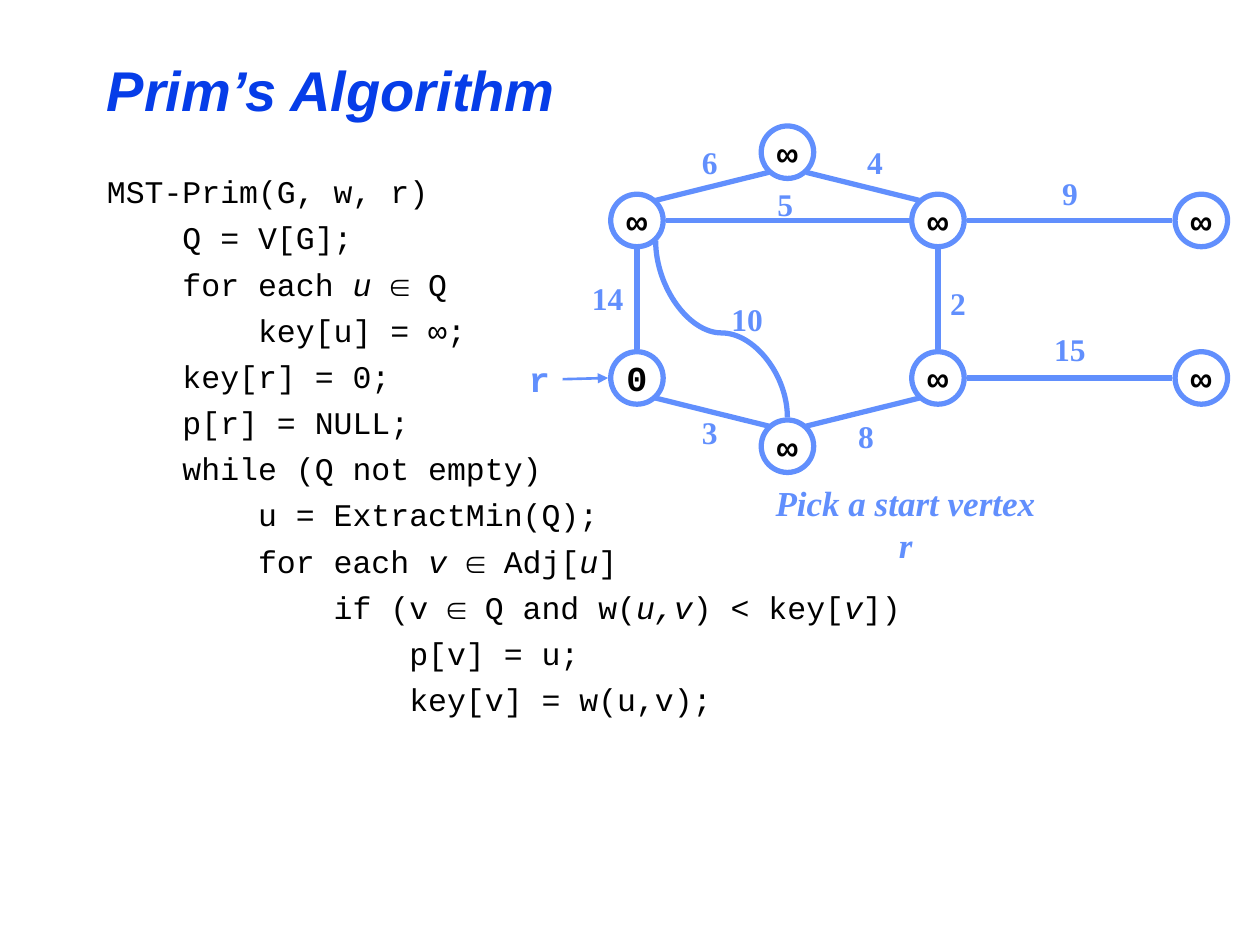
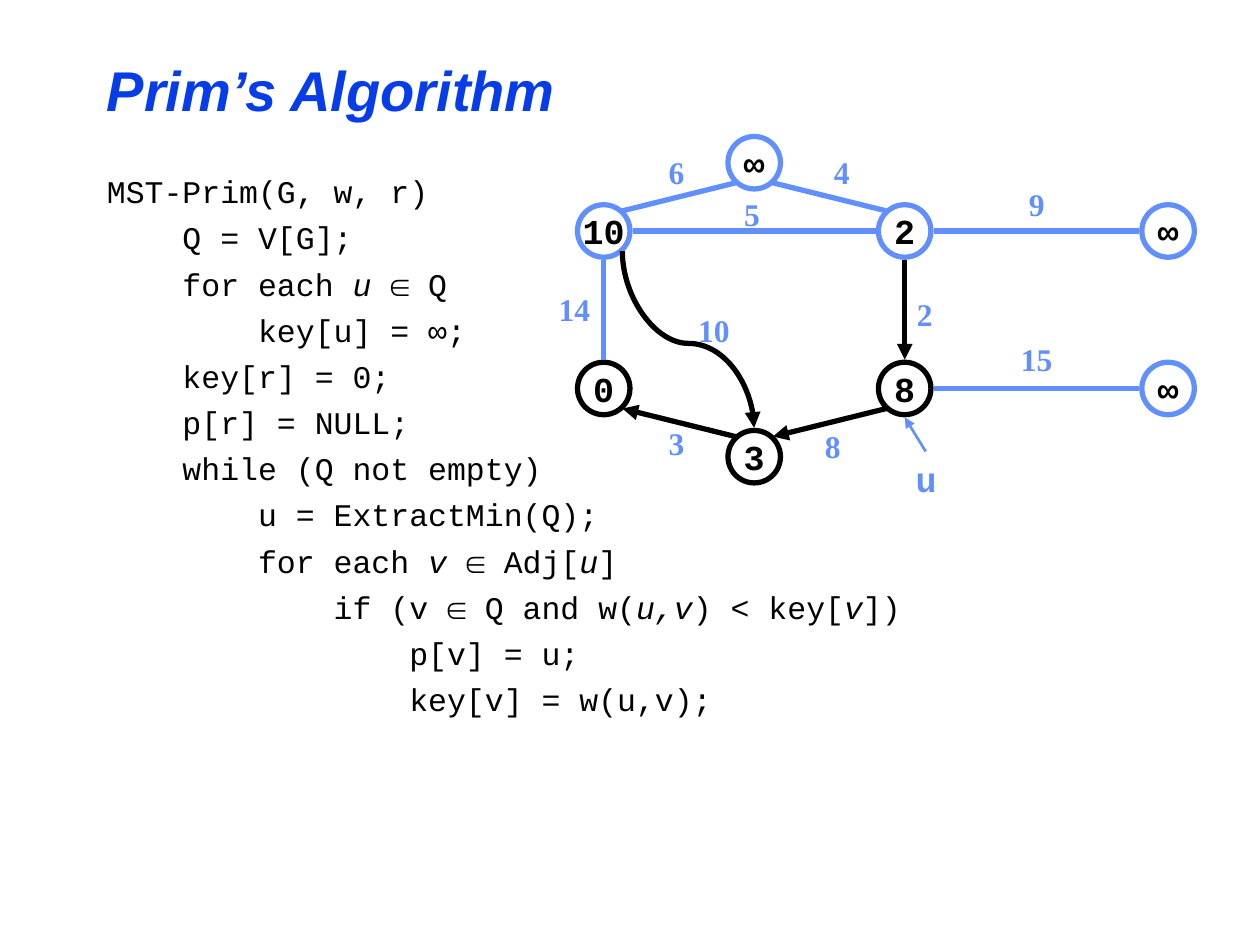
import lxml.etree
import pptx
import pptx.dml.color
import pptx.enum.shapes
import pptx.enum.text
import pptx.oxml.ns
import pptx.util

Pt = pptx.util.Pt
qn = pptx.oxml.ns.qn
KIND = pptx.enum.shapes.MSO_CONNECTOR
ALIGN = pptx.enum.text.PP_ALIGN
ANCHOR = pptx.enum.text.MSO_ANCHOR

COLORS = {"title": "063DE8", "edge": "618FFD", "ink": "000000"}
SANS, MONO, SERIF = "Arial", "Courier New", "Times New Roman"

CODE = [
    "MST-Prim(G, w, r)",
    "    Q = V[G];",
    "    for each *u *∈ Q",
    "        key[u] = ∞;",
    "    key[r] = 0;",
    "    p[r] = NULL;",
    "    while (Q not empty)",
    "        u = ExtractMin(Q);",
    "        for each *v *∈ Adj[*u*]",
    "            if (v ∈ Q and w(*u,v*) < key[*v*])",
    "                p[v] = u;",
    "                key[v] = w(u,v);",
]

SIZE = 30
COLS = [0, 86, 172, 322.5]
ROWS = [0, 39, 129, 168]
NODES = {
    "a": (0, 1), "b": (2, 1), "c": (3, 1),
    "d": (0, 2), "e": (2, 2), "f": (3, 2),
    "g": (1, 3), "t": (1, 0),
}
SIDES = {
    "N": (0, -16.5), "S": (0, 16.5), "W": (-16.5, 0), "E": (16.5, 0),
    "NE": (10.7, -11.5), "NW": (-10.7, -11.5),
    "SE": (10.7, 11.5), "SW": (-10.7, 11.5),
}
EDGES = [
    ("t", "SE", "b", "NW"), ("t", "SW", "a", "NE"),
    ("a", "E", "b", "W"), ("d", "N", "a", "S"),
    ("d", "SE", "g", "NW"), ("g", "NE", "e", "SW"),
    ("e", "N", "b", "S"), ("b", "E", "c", "W"),
    ("e", "E", "f", "W"), ("g", "N", "a", "SE"),
]
COSTS = [
    ("14", -1.8, 84), ("10", 78, 96), ("3", 56.5, 160.5), ("6", 56.5, 6),
    ("4", 151, 6), ("5", 99.7, 30), ("2", 198.4, 87), ("9", 262.4, 24),
    ("15", 262.4, 113), ("8", 145.8, 162.5),
]


def hue(name):
    """Return the named colour."""
    return pptx.dml.color.RGBColor.from_string(COLORS[name])


def write(para, text, font, size, color, bold=False, slant=False):
    """Add one styled run to a paragraph."""
    run = para.add_run()
    run.text = text
    style = run.font
    style.name, style.size = font, Pt(size)
    style.bold, style.italic = bold, slant
    style.color.rgb = hue(color)


def frame(slide, box, wrap=True):
    """Add a text box and return its text frame."""
    text = slide.shapes.add_textbox(*map(Pt, box)).text_frame
    text.word_wrap = wrap
    return text


def label(slide, box, text, font, size, wrap=False, slant=False):
    """Add a centred bold label in the edge colour."""
    para = frame(slide, box, wrap).paragraphs[0]
    para.alignment = ALIGN.CENTER
    write(para, text, font, size, "edge", True, slant)


def draw_title(slide, box):
    """Write the slide title."""
    text = frame(slide, box)
    text.vertical_anchor = ANCHOR.MIDDLE
    write(text.paragraphs[0], "Prim’s Algorithm", SANS, 32, "title", True, True)


def draw_code(slide, box):
    """List the code, with the parts between stars in italics."""
    gap = Pt(4.8)
    text = frame(slide, box)
    text.margin_top += gap
    for row, line in enumerate(CODE):
        para = text.add_paragraph() if row else text.paragraphs[0]
        if row:
            para.space_before = gap
        for turn, part in enumerate(line.split("*")):
            write(para, part, MONO, 18, "ink", slant=turn % 2 == 1)


def style_line(line, color, width, arrow):
    """Colour a connector, drop its shadow and put any arrow at its start."""
    line.line.color.rgb = hue(color)
    line.line.width = Pt(width)
    props = line._element.spPr
    if arrow:
        stroke = props.find(qn("a:ln"))
        lxml.etree.SubElement(stroke, qn("a:headEnd"), type="triangle")
    lxml.etree.SubElement(props, qn("a:effectLst"))


def straight(slide, start, end, color, width, arrow):
    """Draw a straight line between two points."""
    line = slide.shapes.add_connector(KIND.STRAIGHT, *map(Pt, start + end))
    style_line(line, color, width, arrow)


def curve(slide, start, end, color, width, arrow):
    """Draw an S curve that leaves its start point upward."""
    midx, midy = (start[0] + end[0]) / 2, (start[1] + end[1]) / 2
    halfx, halfy = (start[0] - end[0]) / 2, (start[1] - end[1]) / 2
    ends = midx + halfy, midy - halfx, midx - halfy, midy + halfx
    line = slide.shapes.add_connector(KIND.CURVE, *map(Pt, ends))
    props = line._element.spPr
    props.find(qn("a:xfrm")).set("rot", "5400000")
    guides = props.find(qn("a:prstGeom")).find(qn("a:avLst"))
    lxml.etree.SubElement(guides, qn("a:gd"), name="adj1", fmla="val 47800")
    style_line(line, color, width, arrow)


def port(left, top, node, side):
    """Return the point where an edge meets a side of a node."""
    col, row = NODES[node]
    dx, dy = SIDES[side]
    return left + COLS[col] + SIZE / 2 + dx, top + ROWS[row] + SIZE / 2 + dy


def draw_graph(slide, left, top, keys, done, tree):
    """Draw nodes with their keys, then edges and edge costs."""
    for node, (col, row) in NODES.items():
        place = left + COLS[col], top + ROWS[row], SIZE, SIZE
        ring = slide.shapes.add_shape(
            pptx.enum.shapes.MSO_SHAPE.OVAL, *map(Pt, place))
        ring.shadow.inherit = False
        ring.fill.background()
        ring.line.color.rgb = hue("ink" if node in done else "edge")
        ring.line.width = Pt(3)
        text = ring.text_frame
        text.word_wrap = False
        text.vertical_anchor = ANCHOR.MIDDLE
        para = text.paragraphs[0]
        para.alignment = ALIGN.CENTER
        write(para, keys.get(node, "∞"), MONO, 20, "ink", True)
    for head, exit, tail, entry in EDGES:
        draw = curve if head + tail == "ga" else straight
        used = head + tail in tree
        draw(slide, port(left, top, head, exit), port(left, top, tail, entry),
             "ink" if used else "edge", 3, used)
    for cost, mid, drop in COSTS:
        wide = 15 + 9 * len(cost)
        label(slide, (left + mid - wide / 2, top + drop, wide, 29),
              cost, SERIF, 18)


def draw_mark(slide, left, top, name, spot, start, tip):
    """Name a node and point at it with a thin arrow."""
    box = left + spot[0], top + spot[1], 26.5, 31
    label(slide, box, name, MONO, 20)
    straight(slide, port(left, top, *tip), (left + start[0], top + start[1]),
             "edge", 1.5, True)


def draw_note(slide, left, top):
    """Write the hint below the graph."""
    label(slide, (left + 81.5, top + 199.5, 174, 31),
          "Pick a start vertex r", SERIF, 20, True, True)


def add_slide(deck, left, top, keys, done, tree, mark):
    """Add one step of the algorithm."""
    slide = deck.slides.add_slide(deck.slide_layouts[6])
    draw_title(slide, (54, 24, 612, 54))
    draw_code(slide, (54, 90, 618, 432))
    draw_graph(slide, left, top, keys, done, tree)
    draw_mark(slide, left, top, *mark)
    return slide


def main():
    """Build and save the deck."""
    deck = pptx.Presentation()
    deck.slide_width, deck.slide_height = Pt(720), Pt(540)
    first = add_slide(deck, 349, 72, {"d": "0"}, "", (),
                      ("r", (-54, 129), (-27.5, 144.7), ("d", "W")))
    draw_note(first, 349, 72)
    keys = {"a": "10", "b": "2", "d": "0", "e": "8", "g": "3"}
    add_slide(deck, 330, 78, keys, "deg", ("dg", "ge", "eb", "ga"),
              ("u", (186, 180), (199, 180), ("e", "S")))
    deck.save("out.pptx")


if __name__ == "__main__":
    main()
